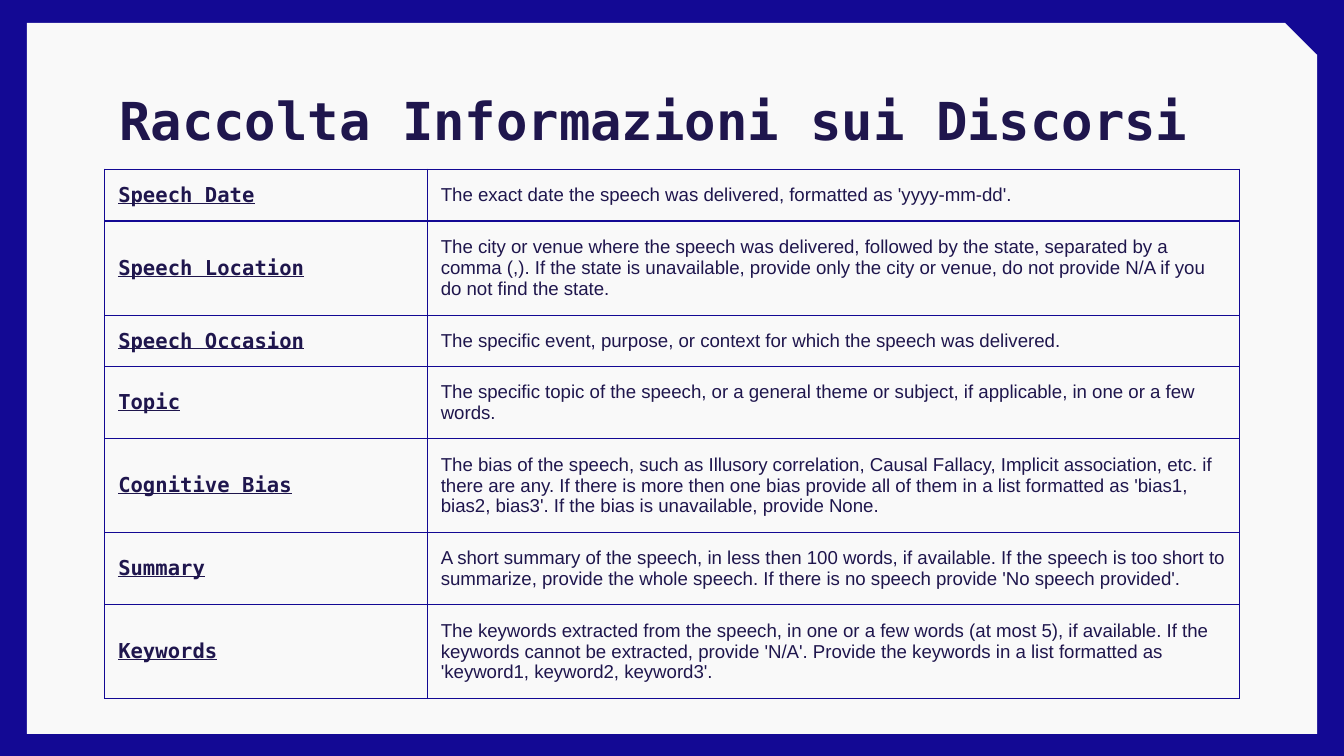
"""Build the slide that lists the information collected about each speech."""
from typing import NamedTuple

import pptx
import pptx.dml.color
import pptx.enum.shapes
import pptx.enum.text
import pptx.oxml
import pptx.oxml.ns
import pptx.util
from pptx.util import Inches

BLUE = pptx.dml.color.RGBColor(0x13, 0x09, 0x94)
PAPER = pptx.dml.color.RGBColor(0xF9, 0xF9, 0xF9)
INK = pptx.dml.color.RGBColor(0x1F, 0x16, 0x4D)
MONO = "DejaVu Sans Mono"
SANS = "Arial"
INSET = Inches(0.1)
COLUMN_WIDTHS = (2.4, 6.04)
TABLE_HEIGHT = Inches(3.93)


class Field(NamedTuple):
    """A collected field and its description."""
    name: str
    description: str


FIELDS = [
    Field("Speech Date",
          "The exact date the speech was delivered, formatted as 'yyyy-mm-dd'."),
    Field("Speech Location",
          "The city or venue where the speech was delivered, followed by the state, "
          "separated by a comma (,). If the state is unavailable, provide only the city "
          "or venue, do not provide N/A if you do not find the state."),
    Field("Speech Occasion",
          "The specific event, purpose, or context for which the speech was delivered."),
    Field("Topic",
          "The specific topic of the speech, or a general theme or subject, if "
          "applicable, in one or a few words."),
    Field("Cognitive Bias",
          "The bias of the speech, such as Illusory correlation, Causal Fallacy, Implicit "
          "association, etc. if there are any. If there is more then one bias provide all "
          "of them in a list formatted as 'bias1, bias2, bias3'. If the bias is "
          "unavailable, provide None."),
    Field("Summary",
          "A short summary of the speech, in less then 100 words, if available. If the "
          "speech is too short to summarize, provide the whole speech. If there is no "
          "speech provide 'No speech provided'."),
    Field("Keywords",
          "The keywords extracted from the speech, in one or a few words (at most 5), if "
          "available. If the keywords cannot be extracted, provide 'N/A'. Provide the "
          "keywords in a list formatted as 'keyword1, keyword2, keyword3'."),
]


def style_font(paragraph, face: str, size: float, bold: bool = False,
               underline: bool = False) -> None:
    """Set the font of a whole paragraph."""
    font = paragraph.font
    font.name = face
    font.size = pptx.util.Pt(size)
    font.bold = bold
    font.underline = underline
    font.color.rgb = INK


def set_insets(holder) -> None:
    """Give a cell or text frame the same margin on every side."""
    holder.margin_left = holder.margin_right = INSET
    holder.margin_top = holder.margin_bottom = INSET


def draw_borders(cell) -> None:
    """Outline all four sides of a cell."""
    properties = cell._tc.get_or_add_tcPr()
    for position, side in enumerate(("lnL", "lnR", "lnT", "lnB")):
        properties.insert(position, pptx.oxml.parse_xml(
            f'<a:{side} {pptx.oxml.ns.nsdecls("a")} w="{pptx.util.Pt(0.75)}">'
            f'<a:solidFill><a:srgbClr val="{BLUE}"/></a:solidFill></a:{side}>'))


def fill_cell(cell, text: str, is_name: bool) -> None:
    """Write a field name or a description into a cell."""
    cell.text = text
    cell.vertical_anchor = pptx.enum.text.MSO_ANCHOR.MIDDLE
    set_insets(cell)
    cell.fill.background()
    draw_borders(cell)
    paragraph = cell.text_frame.paragraphs[0]
    if is_name:
        style_font(paragraph, MONO, 11, bold=True, underline=True)
    else:
        style_font(paragraph, SANS, 10)


def draw_page(slide) -> None:
    """Draw the blue surround and the snipped page."""
    background = slide.background.fill
    background.solid()
    background.fore_color.rgb = BLUE
    page = slide.shapes.add_shape(
        pptx.enum.shapes.MSO_SHAPE.SNIP_1_RECTANGLE,
        Inches(0.2), Inches(0.17), Inches(9.6), Inches(5.29))
    page.adjustments[0] = 0.045
    page.shadow.inherit = False
    page.fill.solid()
    page.fill.fore_color.rgb = PAPER
    page.line.fill.background()


def draw_title(slide, text: str) -> None:
    """Write the slide title."""
    frame = slide.shapes.add_textbox(
        Inches(0.79), Inches(0.49), Inches(8.43), Inches(0.63)).text_frame
    frame.word_wrap = True
    set_insets(frame)
    title = frame.paragraphs[0]
    title.text = text
    title.line_spacing = 1.15
    style_font(title, MONO, 28, bold=True)


def draw_fields(slide, fields: list[Field]) -> None:
    """Draw the table of fields, with rows that grow to fit their text."""
    holder = slide.shapes.add_table(
        len(fields), len(COLUMN_WIDTHS), Inches(0.78), Inches(1.26),
        Inches(sum(COLUMN_WIDTHS)), TABLE_HEIGHT)
    table = holder.table
    table.first_row = table.horz_banding = False
    for column, width in zip(table.columns, COLUMN_WIDTHS):
        column.width = Inches(width)
    for row, field in zip(table.rows, fields):
        row.height = Inches(0)
        fill_cell(row.cells[0], field.name, is_name=True)
        fill_cell(row.cells[1], field.description, is_name=False)
    holder.height = TABLE_HEIGHT


def main() -> None:
    """Build and save the presentation."""
    deck = pptx.Presentation()
    deck.slide_width = Inches(10)
    deck.slide_height = deck.slide_width * 9 // 16
    slide = deck.slides.add_slide(deck.slide_layouts[6])
    draw_page(slide)
    draw_title(slide, "Raccolta Informazioni sui Discorsi")
    draw_fields(slide, FIELDS)
    deck.save("out.pptx")


if __name__ == "__main__":
    main()
